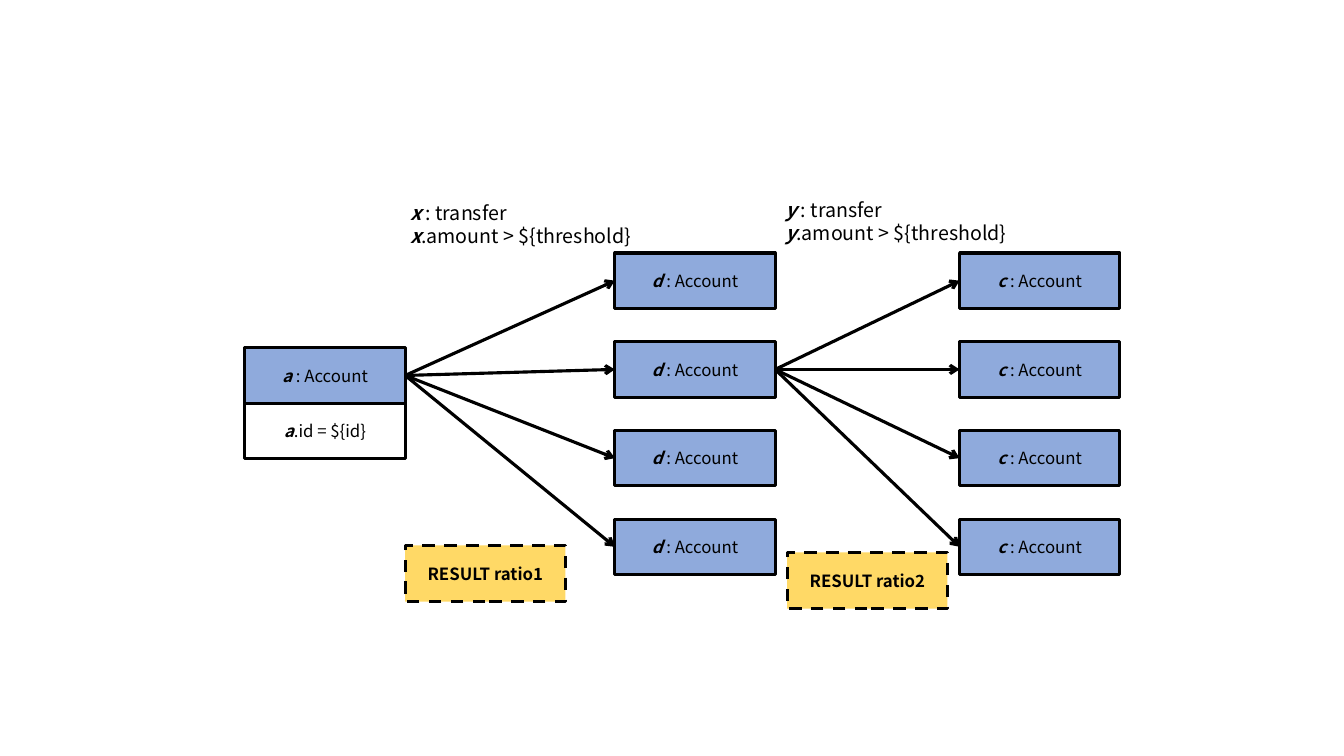
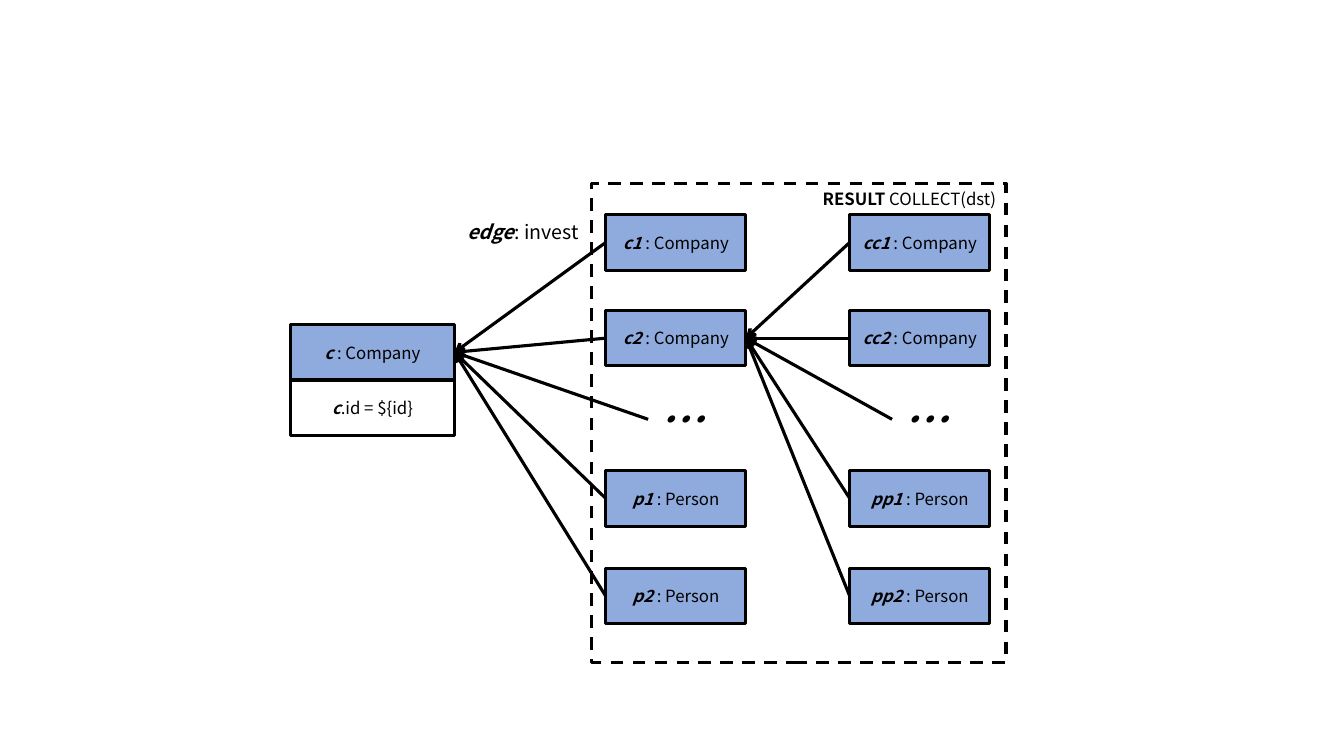
"""Draw two graph query patterns: account transfers and company investments."""
from lxml import etree
from pptx import Presentation, util as u
from pptx.dml.color import RGBColor
from pptx.enum import dml, shapes, text
from pptx.oxml.ns import qn

LEFT, RIGHT = 1, 3
CENTER = text.PP_ALIGN.CENTER


def rgb(value):
    return RGBColor.from_string(value)


def write(tf, lines, size=12, align=CENTER, anchor=text.MSO_ANCHOR.MIDDLE,
          italic=True, font="Noto Sans CJK SC", color="000000"):
    tf.word_wrap = True
    tf.vertical_anchor = anchor
    for i, (lead, rest) in enumerate(lines):
        p = tf.add_paragraph() if i else tf.paragraphs[0]
        p.alignment = align
        for content, strong in ((lead, True), (rest, False)):
            if not content:
                continue
            r = p.add_run()
            r.text = content
            r.font.name = font
            r.font.size = u.Pt(size)
            r.font.bold = strong
            r.font.italic = strong and italic
            r.font.color.rgb = rgb(color)
            ea = etree.SubElement(r.font._element, qn("a:ea"))
            ea.set("typeface", font)


class Diagram:
    COLS, ROWS = 133.33, 75
    BOX_H = 5.5
    INK, NODE, RESULT = "000000", "8FAADC", "FFD966"

    def __init__(self):
        self.prs = Presentation()
        self.prs.slide_width = u.Inches(13.33)
        self.prs.slide_height = u.Inches(7.5)

    def new_slide(self):
        self.s = self.prs.slides.add_slide(self.prs.slide_layouts[6])

    def place(self, x, y, w, h):
        col = self.prs.slide_width / self.COLS
        row = self.prs.slide_height / self.ROWS
        return [u.Emu(round(n)) for n in (x * col, y * row, w * col, h * row)]

    def stroke(self, line):
        line.color.rgb = rgb(self.INK)
        line.width = u.Pt(2.25)

    def box(self, x, y, w, h, lines, fill=None, dashed=False, **fmt):
        sp = self.s.shapes.add_shape(shapes.MSO_SHAPE.RECTANGLE, *self.place(x, y, w, h))
        sp.shadow.inherit = False
        if fill:
            sp.fill.solid()
            sp.fill.fore_color.rgb = rgb(fill)
        else:
            sp.fill.background()
        self.stroke(sp.line)
        if dashed:
            sp.line.dash_style = dml.MSO_LINE.DASH
        write(sp.text_frame, lines, **fmt)
        return sp

    def node(self, x, y, w, name, kind):
        return self.box(x, y, w, self.BOX_H, [(f"{name} ", f": {kind}")], self.NODE)

    def start(self, x, y, w, name, kind):
        sp = self.node(x, y, w, name, kind)
        self.box(x, y + self.BOX_H, w, self.BOX_H, [(name, ".id = ${id}")])
        return sp

    def result(self, x, y, name):
        self.box(x, y, 15.9, 5.6, [(f"RESULT {name}", "")], self.RESULT,
                 dashed=True, italic=False)

    def label(self, x, y, w, h, lines, **fmt):
        sp = self.s.shapes.add_textbox(*self.place(x, y, w, h))
        write(sp.text_frame, lines, anchor=text.MSO_ANCHOR.TOP, **fmt)
        return sp

    def transfer(self, x, y, name):
        self.label(x, y, 24.4, 5.7,
                   [(f"{name} ", ": transfer"), (name, ".amount > ${threshold}")],
                   size=14, align=text.PP_ALIGN.LEFT)

    def arrow(self, tail, tail_site, head, head_site):
        c = self.s.shapes.add_connector(shapes.MSO_CONNECTOR.STRAIGHT, 0, 0, 0, 0)
        c.begin_connect(tail, tail_site)
        c.end_connect(head, head_site)
        self.stroke(c.line)
        sp_pr = c._element.spPr
        etree.SubElement(sp_pr.find(qn("a:ln")), qn("a:tailEnd")).set("type", "arrow")
        etree.SubElement(sp_pr, qn("a:effectLst"))

    def accounts(self, x, name):
        return [self.node(x, 25.1 + 8.8 * i, 15.9, name, "Account") for i in range(4)]

    def investors(self, x, target, prefix):
        rows = ((21.3, "c", 1, "Company"), (30.8, "c", 2, "Company"),
                (46.7, "p", 1, "Person"), (56.4, "p", 2, "Person"))
        nodes = [self.node(x, y, 13.9, f"{letter * prefix}{n}", kind)
                 for y, letter, n, kind in rows]
        more = self.label(x + 4.2, 38.4, 5.5, 6.4, [("…", "")], size=32)
        for sp in [*nodes, more]:
            self.arrow(sp, LEFT, target, RIGHT)
        return nodes


def transfers(d):
    d.new_slide()
    source = d.start(24.3, 34.5, 15.9, "a", "Account")
    d.transfer(39.7, 19.4, "x")
    d.result(40.2, 54.1, "ratio1")
    middle = d.accounts(61, "d")
    last = d.accounts(95.2, "c")
    for tail, heads in ((source, middle), (middle[1], last)):
        for head in heads:
            d.arrow(tail, RIGHT, head, LEFT)
    d.transfer(76.9, 19.1, "y")
    d.result(78.1, 54.8, "ratio2")


def investments(d):
    d.new_slide()
    target = d.start(28.8, 32.2, 16.3, "c", "Company")
    d.label(45.1, 21.3, 13.6, 3.4, [("edge", ": invest")], size=14)
    d.box(58.7, 18.2, 41.1, 47.5, [("RESULT ", "COLLECT(dst)")], dashed=True,
          italic=False, align=text.PP_ALIGN.RIGHT, anchor=text.MSO_ANCHOR.TOP)
    direct = d.investors(60.1, target, 1)
    d.investors(84.3, direct[1], 2)


diagram = Diagram()
transfers(diagram)
investments(diagram)
diagram.prs.save("out.pptx")
